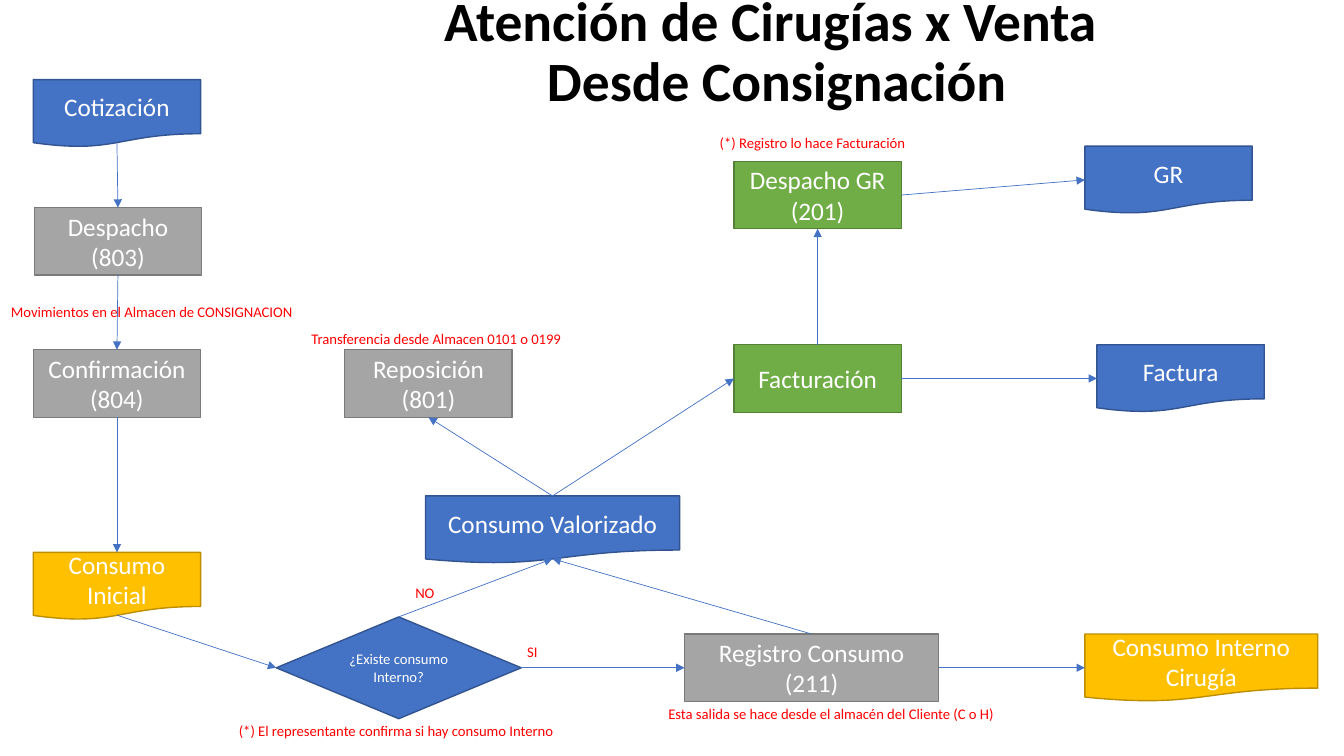
from dataclasses import dataclass

from lxml import etree
from pptx import Presentation
from pptx.dml.color import RGBColor
from pptx.enum.shapes import MSO_CONNECTOR, MSO_SHAPE
from pptx.enum.text import MSO_ANCHOR, PP_ALIGN
from pptx.oxml.ns import qn
from pptx.util import Inches, Pt

DOCUMENT = MSO_SHAPE.FLOWCHART_DOCUMENT
PROCESS = MSO_SHAPE.FLOWCHART_PROCESS
DECISION = MSO_SHAPE.FLOWCHART_DECISION
STRAIGHT = MSO_CONNECTOR.STRAIGHT
MIDDLE = MSO_ANCHOR.MIDDLE
CENTER, JUSTIFY = PP_ALIGN.CENTER, PP_ALIGN.JUSTIFY
TOP, LEFT, BOTTOM, RIGHT = range(4)
DOCUMENT_WAVE = 0.93


@dataclass(frozen=True)
class Theme:
    """Fonts, type sizes, line widths and fill/outline colour pairs."""
    font: str = "Calibri"
    title_size: float = 39.6
    step_size: float = 18
    note_size: float = 10.5
    outline_width: float = 1
    arrow_width: float = 0.5
    title: str = "000000"
    step_text: str = "FFFFFF"
    note: str = "FF0000"
    arrow: str = "4472C4"
    blue: tuple = ("4472C4", "325491")
    gray: tuple = ("A5A5A5", "7A7A7A")
    green: tuple = ("70AD47", "538035")
    gold: tuple = ("FFC000", "BD8E00")


THEME = Theme()
STEP_W, WIDE_W, STEP_H = 1.66, 2.52, 0.67
NOTE_H = 0.28

STEPS = {
    "cotizacion": (DOCUMENT, THEME.blue, 0.33, 0.79, STEP_W, "Cotización"),
    "despacho": (PROCESS, THEME.gray, 0.34, 2.06, STEP_W, "Despacho (803)"),
    "confirmacion": (PROCESS, THEME.gray, 0.33, 3.47, STEP_W, "Confirmación\n(804)"),
    "inicial": (DOCUMENT, THEME.gold, 0.33, 5.48, STEP_W, "Consumo Inicial"),
    "reposicion": (PROCESS, THEME.gray, 3.42, 3.47, STEP_W, "Reposición\n(801)"),
    "valorizado": (DOCUMENT, THEME.blue, 4.22, 4.92, WIDE_W, "Consumo Valorizado"),
    "despacho_gr": (PROCESS, THEME.green, 7.28, 1.6, STEP_W, "Despacho GR\n(201)"),
    "facturacion": (PROCESS, THEME.green, 7.28, 3.42, STEP_W, "Facturación"),
    "gr": (DOCUMENT, THEME.blue, 10.76, 1.45, STEP_W, "GR"),
    "factura": (DOCUMENT, THEME.blue, 10.88, 3.42, STEP_W, "Factura"),
    "registro": (PROCESS, THEME.gray, 6.79, 6.29, WIDE_W, "Registro Consumo\n(211)"),
    "interno": (DOCUMENT, THEME.gold, 10.76, 6.29, 2.31, "Consumo Interno\nCirugía"),
}

FLOWS = [
    ("cotizacion", BOTTOM, "despacho", TOP),
    ("despacho", BOTTOM, "confirmacion", TOP),
    ("confirmacion", BOTTOM, "inicial", TOP),
    ("inicial", BOTTOM, "pregunta", LEFT),
    ("pregunta", TOP, "valorizado", BOTTOM),
    ("pregunta", RIGHT, "registro", LEFT),
    ("registro", TOP, "valorizado", BOTTOM),
    ("registro", RIGHT, "interno", LEFT),
    ("valorizado", TOP, "reposicion", BOTTOM),
    ("valorizado", TOP, "facturacion", LEFT),
    ("facturacion", TOP, "despacho_gr", BOTTOM),
    ("facturacion", RIGHT, "factura", LEFT),
    ("despacho_gr", RIGHT, "gr", LEFT),
]

NOTES = [
    (2.27, 7.11, 3.51, "(*) El representante confirma si hay consumo Interno"),
    (7.04, 1.28, 2.14, "(*) Registro lo hace Facturación"),
    (5.13, 6.33, 0.35, "SI"),
    (4.02, 5.74, 0.48, "NO"),
    (6.53, 6.94, 3.51, "Esta salida se hace desde el almacén del Cliente (C o H)"),
    (0.01, 2.95, 3.51, "Movimientos en el Almacen de CONSIGNACION"),
    (2.99, 3.22, 3.03, "Transferencia desde Almacen 0101 o 0199"),
]


def write_text(frame, text, size, color, align, bold=False):
    """Fill a text frame and set one font on all its paragraphs."""
    frame.word_wrap = True
    frame.text = text
    for paragraph in frame.paragraphs:
        paragraph.alignment = align
        font = paragraph.font
        font.name, font.size, font.bold = THEME.font, Pt(size), bold
        font.color.rgb = RGBColor.from_string(color)


def add_step(slide, kind, colors, left, top, width, text,
             height=STEP_H, size=THEME.step_size):
    """Add one flowchart step with centred white text."""
    step = slide.shapes.add_shape(
        kind, Inches(left), Inches(top), Inches(width), Inches(height))
    fill, outline = colors
    step.shadow.inherit = False
    step.fill.solid()
    step.fill.fore_color.rgb = RGBColor.from_string(fill)
    step.line.color.rgb = RGBColor.from_string(outline)
    step.line.width = Pt(THEME.outline_width)
    step.text_frame.vertical_anchor = MIDDLE
    write_text(step.text_frame, text, size, THEME.step_text, CENTER)
    return step


def bottom_edge(step):
    """Return the height of the bottom edge at the middle of a step."""
    wave = DOCUMENT_WAVE if step.auto_shape_type == DOCUMENT else 1
    return step.top + int(step.height * wave)


def add_flow(slide, source, source_side, target, target_side):
    """Join two steps with a thin arrow."""
    flow = slide.shapes.add_connector(STRAIGHT, 0, 0, 0, 0)
    flow.begin_connect(source, source_side)
    flow.end_connect(target, target_side)
    if source_side == BOTTOM:
        flow.begin_y = bottom_edge(source)
    if target_side == BOTTOM:
        flow.end_y = bottom_edge(target)
    flow.line.color.rgb = RGBColor.from_string(THEME.arrow)
    flow.line.width = Pt(THEME.arrow_width)
    properties = flow.line._get_or_add_ln()
    etree.SubElement(properties, qn("a:tailEnd"), type="triangle")
    etree.SubElement(properties.getparent(), qn("a:effectLst"))


def add_note(slide, left, top, width, text):
    """Add a small red remark."""
    note = slide.shapes.add_textbox(
        Inches(left), Inches(top), Inches(width), Inches(NOTE_H))
    write_text(note.text_frame, text, THEME.note_size, THEME.note, JUSTIFY)


def add_title(slide):
    """Add the two-line heading."""
    title = slide.shapes.add_textbox(
        Inches(2.99), Inches(0.17), Inches(9.43), Inches(0.73))
    frame = title.text_frame
    frame.vertical_anchor = MIDDLE
    write_text(frame, "Atención de Cirugías x Venta \vDesde Consignación",
               THEME.title_size, THEME.title, CENTER, bold=True)
    frame.paragraphs[0].line_spacing = 0.9


def main():
    """Build the surgery sales flowchart."""
    deck = Presentation()
    deck.slide_width, deck.slide_height = Inches(13.33), Inches(7.5)
    slide = deck.slides.add_slide(deck.slide_layouts[6])
    add_title(slide)
    steps = {name: add_step(slide, *step) for name, step in STEPS.items()}
    steps["pregunta"] = add_step(
        slide, DECISION, THEME.blue, 2.74, 6.12, 2.43,
        "¿Existe consumo Interno?", height=1.01, size=THEME.note_size)
    for source, source_side, target, target_side in FLOWS:
        add_flow(slide, steps[source], source_side, steps[target], target_side)
    for note in NOTES:
        add_note(slide, *note)
    deck.save("out.pptx")


if __name__ == "__main__":
    main()
